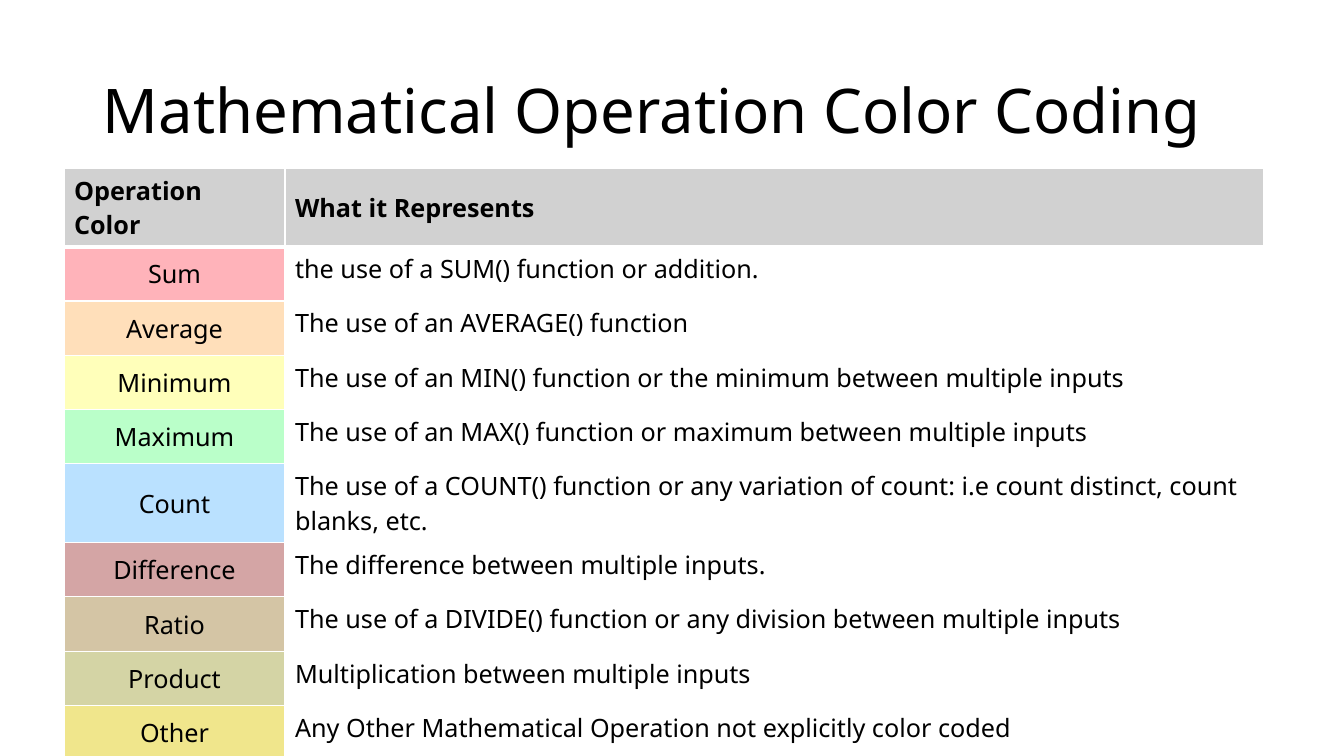
from lxml import etree
from pptx import Presentation
from pptx.dml.color import RGBColor
from pptx.enum.text import MSO_ANCHOR, PP_ALIGN
from pptx.oxml.ns import qn
from pptx.util import Pt

LEFT, CENTER = PP_ALIGN.LEFT, PP_ALIGN.CENTER
TOP, MIDDLE = MSO_ANCHOR.TOP, MSO_ANCHOR.MIDDLE
SCALE = 12192000 / 1344  # EMU per px

THEME = {
    "font": "Noto Sans", "title_size": 44, "table_size": 18,
    "ink": "000000", "paper": "FFFFFF", "header": "D1D1D1",
}

# Operation, color, row height in px, meaning
OPERATIONS = [
    ("Sum", "FFB3BA", 54, "the use of a SUM() function or addition."),
    ("Average", "FFDFBA", 55, "The use of an AVERAGE() function"),
    ("Minimum", "FFFFBA", 54, "The use of an MIN() function or the minimum between multiple inputs"),
    ("Maximum", "BAFFC9", 54, "The use of an MAX() function or maximum between multiple inputs"),
    ("Count", "BAE1FF", 79, "The use of a COUNT() function or any variation of count: "
                            "i.e count distinct, count blanks, etc."),
    ("Difference", "D4A5A5", 54, "The difference between multiple inputs."),
    ("Ratio", "D4C5A5", 55, "The use of a DIVIDE() function or any division between multiple inputs"),
    ("Product", "D4D4A5", 54, "Multiplication between multiple inputs"),
    ("Other", "F0E68C", 54, "Any Other Mathematical Operation not explicitly color coded"),
]


def px(*lengths):
    return [round(length * SCALE) for length in lengths]


def write(frame, text, size, align=LEFT, bold=False):
    para = frame.paragraphs[0]
    para.alignment = align
    span = para.add_run()
    span.text = text
    formats = {"name": THEME["font"], "size": Pt(size), "bold": bold}
    for name, value in formats.items():
        setattr(span.font, name, value)
    span.font.color.rgb = RGBColor.from_string(THEME["ink"])
    return para


deck = Presentation()
deck.slide_width, deck.slide_height = px(1344, 756)
page = deck.slides.add_slide(deck.slide_layouts[6])

# Title
box = page.shapes.add_textbox(*px(93, 41, 1159, 146))
box.text_frame.word_wrap = True
box.text_frame.vertical_anchor = MIDDLE
title = write(box.text_frame, "Mathematical Operation Color Coding", THEME["title_size"])
title.line_spacing = 0.9

# Cell content: text, fill, alignment, anchor, bold
row_heights = [79]
rows = [[("Operation Color", THEME["header"], LEFT, MIDDLE, True),
         ("What it Represents", THEME["header"], LEFT, MIDDLE, True)]]
for name, color, height, meaning in OPERATIONS:
    row_heights.append(height)
    rows.append([(name, color, CENTER, MIDDLE, False),
                 (meaning, THEME["paper"], LEFT, TOP, False)])

# Table grid
table = page.shapes.add_table(
    len(rows), 2, *px(64, 168, 1200, sum(row_heights))).table
for column, width in zip(table.columns, px(221, 979)):
    column.width = width
for row, height in zip(table.rows, px(*row_heights)):
    row.height = height

for row_index, row in enumerate(rows):
    for column_index, (text, color, align, anchor, bold) in enumerate(row):
        cell = table.cell(row_index, column_index)
        write(cell.text_frame, text, THEME["table_size"], align, bold)
        cell.vertical_anchor = anchor

        # White borders, thicker between header and body
        thick_side = {0: "B", 1: "T"}.get(row_index)
        properties = cell._tc.get_or_add_tcPr()
        for side in "LRTB":
            weight = Pt(3 if side == thick_side else 1)
            line = etree.SubElement(properties, qn(f"a:ln{side}"), w=str(weight))
            paint = etree.SubElement(line, qn("a:solidFill"))
            etree.SubElement(paint, qn("a:srgbClr"), val=THEME["paper"])

        cell.fill.solid()
        cell.fill.fore_color.rgb = RGBColor.from_string(color)

# The first heading breaks after its first word
table.cell(0, 0).margin_right = px(16)[0]

deck.save("out.pptx")
